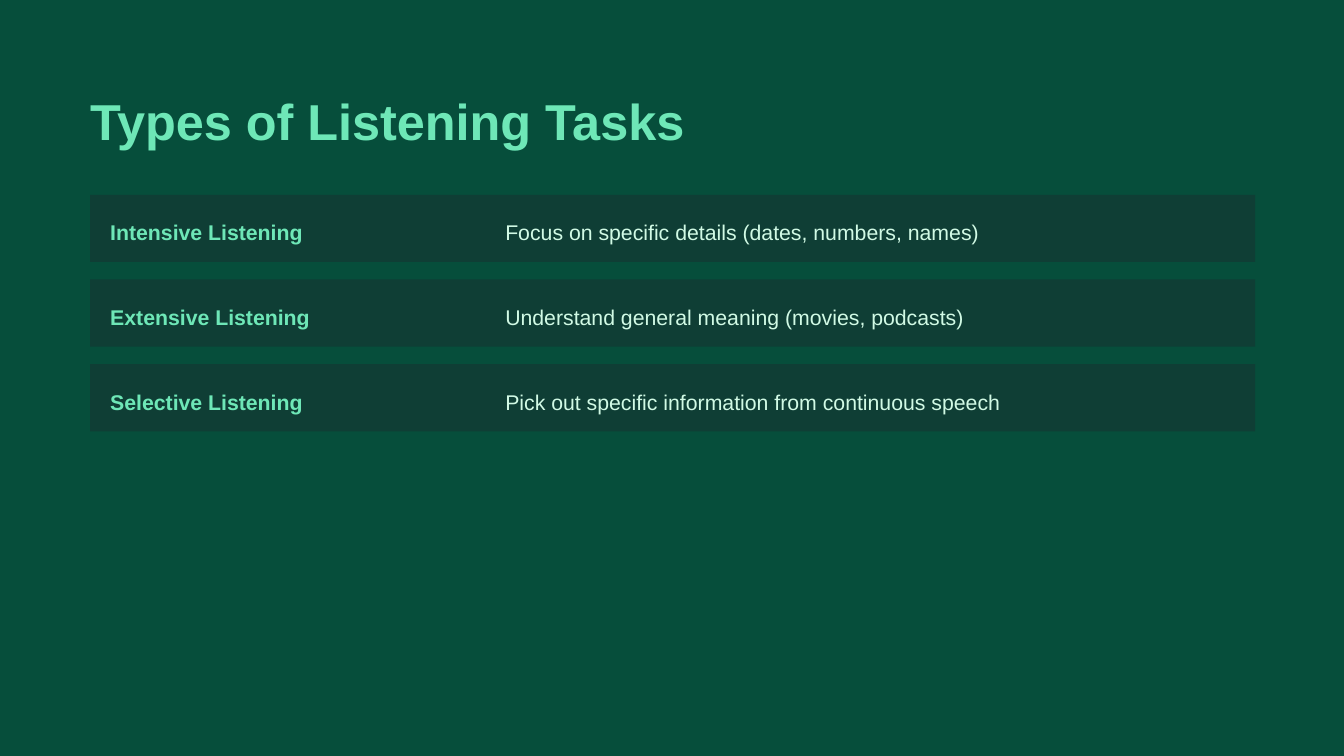
from pptx import Presentation
from pptx.dml.color import RGBColor
from pptx.enum.shapes import MSO_SHAPE
from pptx.enum.text import MSO_ANCHOR, MSO_AUTO_SIZE, PP_ALIGN
from pptx.util import Inches, Pt

COLORS = {
    "background": "064E3B",
    "band": "0F3E35",
    "accent": "6EE7B7",
    "body": "D1FAE5",
}
FONT = "Arial"

TASKS = [
    ("Intensive Listening", "Focus on specific details (dates, numbers, names)"),
    ("Extensive Listening", "Understand general meaning (movies, podcasts)"),
    ("Selective Listening", "Pick out specific information from continuous speech"),
]
FIRST_TOP = 1.45
ROW_PITCH = 0.63
TEXT_OFFSET = 0.12


def color(name):
    return RGBColor.from_string(COLORS[name])


def write_text(shape, text, *, size, line_spacing, color_name, bold=False):
    frame = shape.text_frame
    frame.word_wrap = True
    frame.auto_size = MSO_AUTO_SIZE.NONE
    frame.vertical_anchor = MSO_ANCHOR.TOP
    frame.margin_left = frame.margin_right = 0
    frame.margin_top = frame.margin_bottom = 0
    paragraph = frame.paragraphs[0]
    paragraph.alignment = PP_ALIGN.LEFT
    paragraph.line_spacing = Pt(line_spacing)
    paragraph.space_before = Pt(0)
    run = paragraph.add_run()
    run.text = text
    run.font.name = FONT
    run.font.size = Pt(size)
    run.font.bold = bold
    run.font.color.rgb = color(color_name)


class SlideBuilder:
    """Holds the current slide and its style."""

    def __init__(self, presentation):
        self.slide = presentation.slides.add_slide(presentation.slide_layouts[5])
        fill = self.slide.background.fill
        fill.solid()
        fill.fore_color.rgb = color("background")

    def title(self, text, left, top, width, height):
        shape = self.slide.shapes.title
        shape.left, shape.top = Inches(left), Inches(top)
        shape.width, shape.height = Inches(width), Inches(height)
        write_text(shape, text, size=27, line_spacing=32.4,
                   color_name="accent", bold=True)

    def band(self, left, top, width, height):
        shape = self.slide.shapes.add_shape(
            MSO_SHAPE.RECTANGLE,
            Inches(left), Inches(top), Inches(width), Inches(height))
        shape.shadow.inherit = False
        shape.fill.solid()
        shape.fill.fore_color.rgb = color("band")
        shape.line.fill.background()

    def label(self, text, left, top, width, height, **text_format):
        shape = self.slide.shapes.add_textbox(
            Inches(left), Inches(top), Inches(width), Inches(height))
        write_text(shape, text, size=11.4, line_spacing=18.2, **text_format)


def main():
    presentation = Presentation()
    # Widescreen, 16:9
    presentation.slide_width = Inches(10)
    presentation.slide_height = presentation.slide_width * 9 // 16
    builder = SlideBuilder(presentation)

    # Title
    builder.title("Types of Listening Tasks", 0.67, 0.67, 8.84, 0.45)

    # One band per listening task
    for index, (name, description) in enumerate(TASKS):
        top = FIRST_TOP + index * ROW_PITCH
        text_top = top + TEXT_OFFSET
        builder.band(0.67, top, 8.67, 0.5)
        builder.label(name, 0.82, text_top, 2.99, 0.25,
                      color_name="accent", bold=True)
        builder.label(description, 3.76, text_top, 5.56, 0.25,
                      color_name="body")

    presentation.save("out.pptx")


if __name__ == "__main__":
    main()
